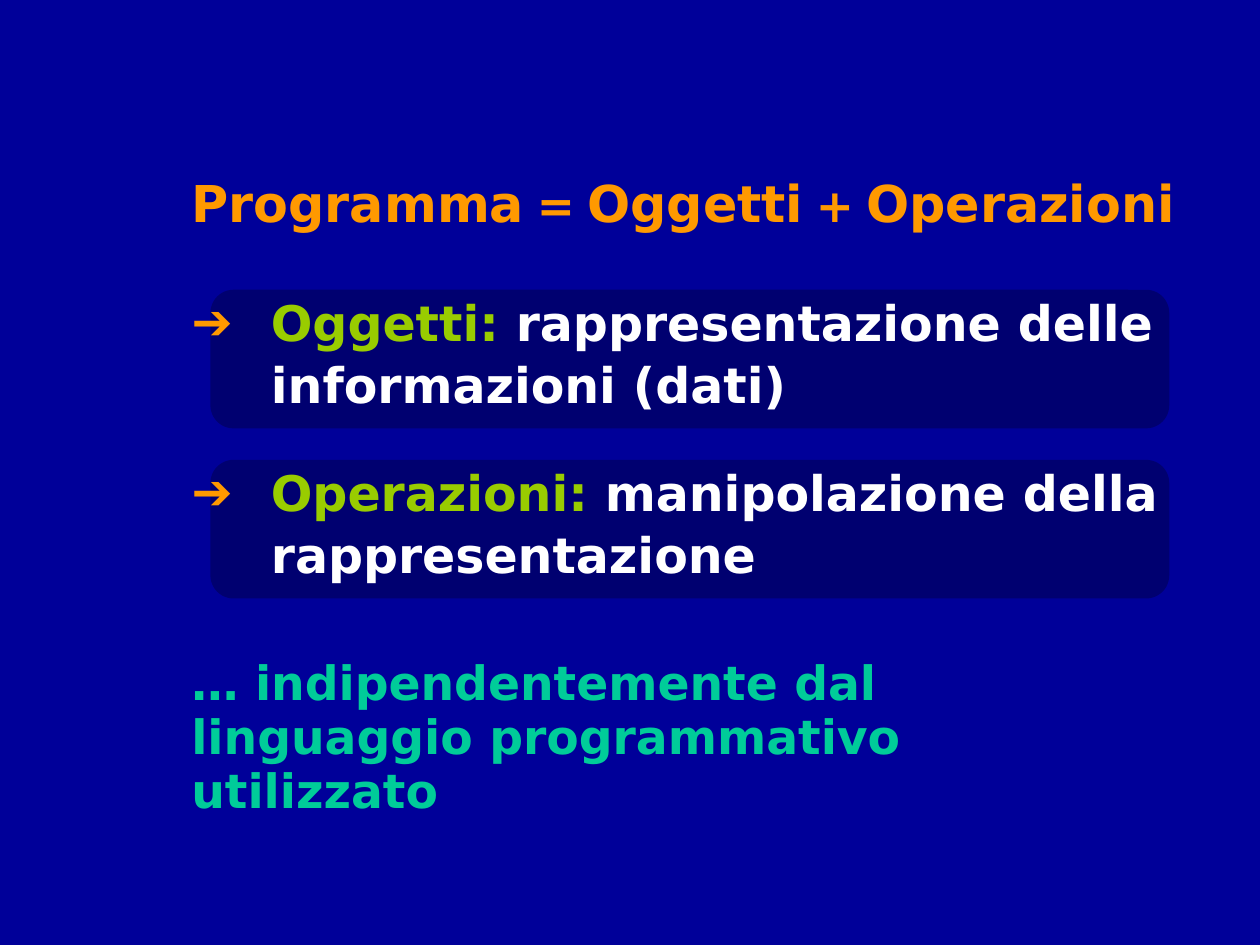
from dataclasses import dataclass

from lxml import etree
from pptx import Presentation
from pptx import util as u
from pptx.dml import color
from pptx.enum import shapes, text
from pptx.oxml import ns


@dataclass(frozen=True)
class Theme:
    """Colours, font and type sizes."""
    font: str = "DejaVu Sans"
    back: str = "000099"
    panel: str = "000048"
    gold: str = "FF9900"
    lime: str = "99CC00"
    teal: str = "00CC99"
    white: str = "FFFFFF"
    black: str = "000000"
    head: int = 29
    sign: int = 26
    gap: int = 20
    item: int = 28
    note: int = 27


def rgb(code):
    """Turn a hex code into a colour."""
    return color.RGBColor.from_string(code)


def sub(node, tag, **attrs):
    """Add an XML child with attributes."""
    return etree.SubElement(node, ns.qn(tag), **attrs)


class Deck:
    """Holds the style and the current slide."""

    def __init__(self, theme):
        """Start a slide with a title and two bodies."""
        self.theme = theme
        self.prs = Presentation()
        self.prs.slide_width = u.Inches(10)
        self.prs.slide_height = u.Inches(7.5)
        self.slide = self.prs.slides.add_slide(self.prs.slide_layouts[3])
        fill = self.slide.background.fill
        fill.solid()
        fill.fore_color.rgb = rgb(theme.back)

    def panel(self, *box):
        """Draw a half-transparent rounded panel behind the text."""
        shape = self.slide.shapes.add_shape(
            shapes.MSO_SHAPE.ROUNDED_RECTANGLE, *map(u.Inches, box))
        shape.shadow.inherit = False
        shape.line.fill.background()
        shape.fill.solid()
        shape.fill.fore_color.rgb = rgb(self.theme.panel)
        tint = shape.element.spPr.find(".//" + ns.qn("a:srgbClr"))
        sub(tint, "a:alpha", val="50000")
        tree = self.slide.shapes.element
        tree.remove(shape.element)
        tree.insert(2, shape.element)

    def style(self, run, size, code):
        """Format a run in bold with a small shadow."""
        font = run.font
        font.size, font.bold = u.Pt(size), True
        font.color.rgb = rgb(code)
        effect = sub(run._r.get_or_add_rPr(), "a:effectLst")
        shade = sub(effect, "a:outerShdw", dist="25400", dir="2700000")
        sub(shade, "a:srgbClr", val=self.theme.black)
        font.name = self.theme.font

    def put(self, shape, box, parts, space=1.0):
        """Place a shape and fill it with (text, size, colour) parts."""
        shape.left, shape.top, shape.width, shape.height = map(u.Inches, box)
        frame = shape.text_frame
        frame.word_wrap = True
        frame.auto_size = text.MSO_AUTO_SIZE.NONE
        frame.vertical_anchor = text.MSO_ANCHOR.TOP
        para = frame.paragraphs[0]
        para.alignment = text.PP_ALIGN.LEFT
        para.line_spacing = space
        para.space_before = u.Pt(0)
        for words, size, code in parts:
            run = para.add_run()
            run.text = words
            self.style(run, size, code)
        return para

    def title(self, box, parts):
        """Set the slide title."""
        self.put(self.slide.shapes.title, box, parts)

    def item(self, index, box, term, words):
        """Set one arrow item in a body placeholder."""
        t = self.theme
        para = self.put(self.slide.placeholders[index], box,
                        [(term, t.item, t.lime), (words, t.item, t.white)],
                        1.05)
        props = para._p.get_or_add_pPr()
        dent = u.Inches(0.63)
        props.set("marL", str(dent))
        props.set("indent", str(-dent))
        sub(sub(props, "a:buClr"), "a:srgbClr", val=t.gold)
        sub(props, "a:buFont", typeface=t.font)
        sub(props, "a:buChar", char="➔")

    def note(self, box, words):
        """Add the closing remark."""
        shape = self.slide.shapes.add_textbox(*map(u.Inches, box))
        t = self.theme
        self.put(shape, box, [(words, t.note, t.teal)], 0.95)


def main():
    """Build and save the slide."""
    t = Theme()
    deck = Deck(t)
    left, step = 1.42, 1.35

    sizes = {"=": t.sign, "+": t.sign, " ": t.gap}
    words = ["Programma", " ", "=", " ", "Oggetti", " ", "+", " ", "Operazioni"]
    deck.title((left, 1.31, 8.53, 0.59),
               [(word, sizes.get(word, t.head), t.gold) for word in words])

    items = [("Oggetti:", " rappresentazione delle informazioni (dati)"),
             ("Operazioni:", " manipolazione della rappresentazione")]
    for row, (term, words) in enumerate(items):
        drop = row * step
        deck.panel(1.67, 2.3 + drop, 7.61, 1.1)
        deck.item(row + 1, (left, 2.25 + drop, 8.08, 1.08), term, words)

    deck.note((left, 5.17, 7.88, 0.96),
              "… indipendentemente dal linguaggio programmativo utilizzato")
    deck.prs.save("out.pptx")


main()
